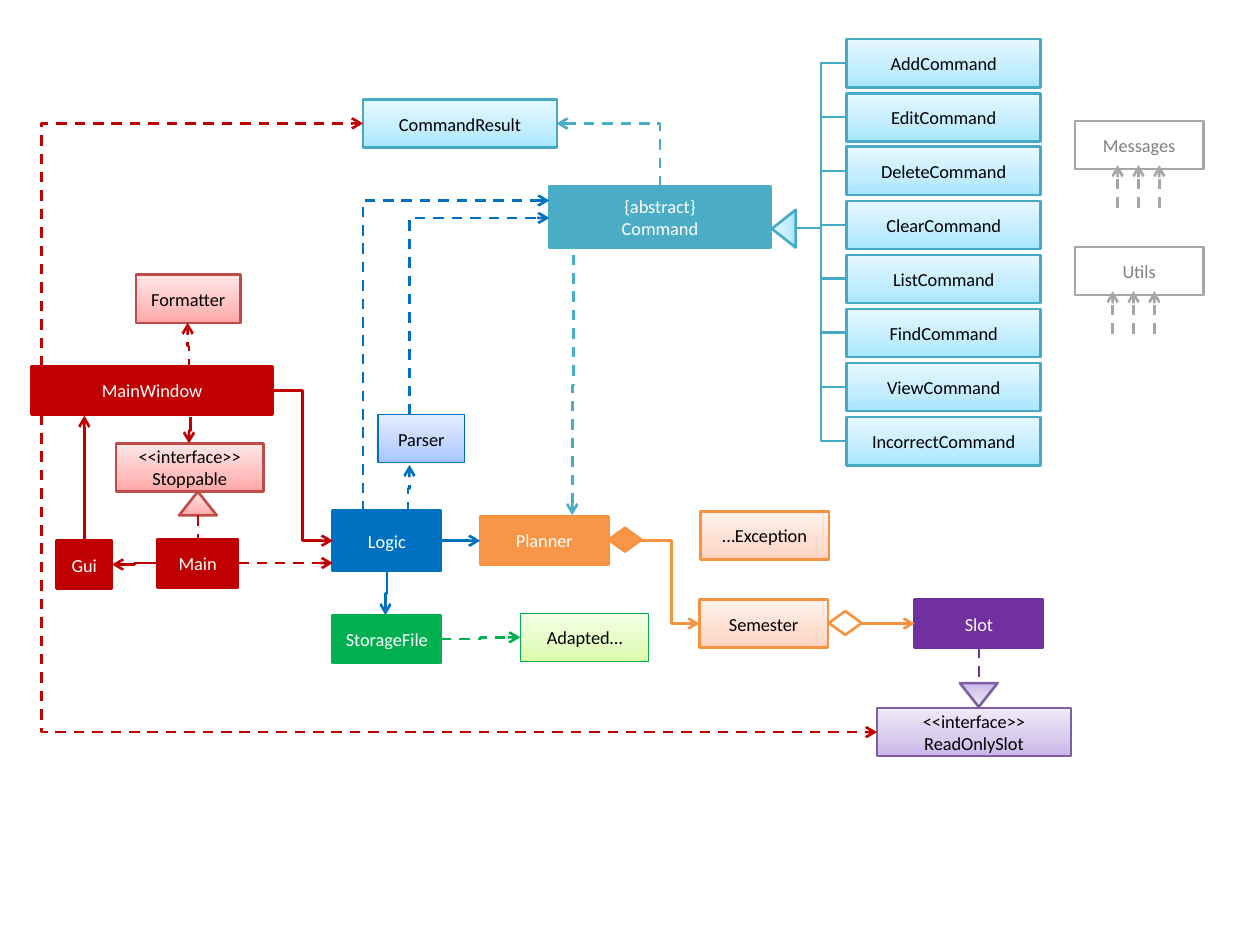
"""Build the class diagram of a study planner application."""
import copy
import dataclasses

import lxml.etree
import pptx
import pptx.dml.color
import pptx.enum.dml
import pptx.enum.shapes
import pptx.enum.text
import pptx.oxml.ns
import pptx.util

SHAPE = pptx.enum.shapes.MSO_SHAPE
CONNECTOR = pptx.enum.shapes.MSO_CONNECTOR


@dataclasses.dataclass(frozen=True)
class Look:
    fill: object
    line: str
    text: str = "FFFFFF"
    width: float = 1.5


@dataclasses.dataclass(frozen=True)
class Theme:
    font: str = "Calibri"
    size: float = 10.5
    window: Look = Look("C00000", "C00000")
    window_soft: Look = Look(("FFA6A5", "FFC0BF", "FFE7E7"), "BF4C48", "000000")
    logic: Look = Look("0070C0", "0070C0")
    parser: Look = Look(("A4C4FF", "BFD4FF", "E6EEFF"), "0070C0", "000000", 0.75)
    planner: Look = Look("F79646", "F69240")
    planner_soft: Look = Look(("FFD2BD", "FFDED0", "FFF2ED"), "F69240", "000000")
    planner_open: Look = Look(None, "F69240")
    slot: Look = Look("7030A0", "7030A0")
    slot_soft: Look = Look(("C9B5E8", "D8CBEE", "F0EAF9"), "7D60A0", "000000")
    storage: Look = Look("00B050", "00B050")
    adapted: Look = Look(("DAFDA7", "E4FCC2", "F5FFE7"), "00B050", "000000", 0.75)
    command: Look = Look("4BACC6", "4BACC6")
    command_soft: Look = Look(("A7E6FF", "C1EDFF", "E7F8FF"), "46AAC5", "000000")
    helper: Look = Look("FFFFFF", "A6A6A6", "808080")


def length(inches):
    return pptx.util.Cm(round(inches * 2.54, 2))


def rgb(value):
    return pptx.dml.color.RGBColor.from_string(value)


class Diagram:
    def __init__(self, slide, theme):
        self.slide, self.theme = slide, theme

    def paint(self, shape, look):
        shape.shadow.inherit = False
        if look.fill is None:
            shape.fill.background()
        elif isinstance(look.fill, str):
            shape.fill.solid()
            shape.fill.fore_color.rgb = rgb(look.fill)
        else:
            shape.fill.gradient()
            shape.fill.gradient_angle = 90
            stops = next(shape._element.spPr.iter(pptx.oxml.ns.qn("a:gsLst")))
            stops.append(copy.deepcopy(stops[0]))
            for stop, place, colour in zip(shape.fill.gradient_stops, (0, 0.35, 1), look.fill):
                stop.position = place
                stop.color.rgb = rgb(colour)
        shape.line.color.rgb = rgb(look.line)
        shape.line.width = pptx.util.Pt(look.width)

    def symbol(self, kind, at, look, turn=0):
        shape = self.slide.shapes.add_shape(kind, *map(length, at))
        shape.rotation = turn
        self.paint(shape, look)
        return shape

    def box(self, text, left, top, look, width=1.02, height=0.38):
        shape = self.symbol(SHAPE.RECTANGLE, (left, top, width, height), look)
        frame = shape.text_frame
        frame.text = text
        frame.word_wrap = True
        frame.vertical_anchor = pptx.enum.text.MSO_ANCHOR.MIDDLE
        frame.margin_left = frame.margin_right = frame.margin_top = frame.margin_bottom = 0
        for paragraph in frame.paragraphs:
            paragraph.alignment = pptx.enum.text.PP_ALIGN.CENTER
            for run in paragraph.runs:
                run.font.name = self.theme.font
                run.font.size = pptx.util.Pt(self.theme.size)
                run.font.color.rgb = rgb(look.text)

    def link(self, start, end, look, route="straight", bend=0.5, dash=False, arrow=True):
        """Join two points; a "down" or "corner" route leaves the start vertically."""
        (x1, y1), (x2, y2) = start, end
        upright = route in ("down", "corner")
        if upright:
            x, y, dx, dy = (x1 + x2) / 2, (y1 + y2) / 2, x2 - x1, y2 - y1
            x1, y1, x2, y2 = x - dy / 2, y + dx / 2, x + dy / 2, y - dx / 2
        kind = CONNECTOR.STRAIGHT if route == "straight" else CONNECTOR.ELBOW
        line = self.slide.shapes.add_connector(kind, *map(length, (x1, y1, x2, y2)))
        line.line.color.rgb = rgb(look.line)
        line.line.width = pptx.util.Pt(1.5)
        if dash:
            line.line.dash_style = pptx.enum.dml.MSO_LINE.DASH
        properties = line._element.spPr
        qn = pptx.oxml.ns.qn
        if upright:
            properties.find(qn("a:xfrm")).set("rot", "5400000")
        geometry = properties.find(qn("a:prstGeom"))
        if route == "corner":
            geometry.set("prst", "bentConnector2")
        elif route != "straight":
            guides = geometry.find(qn("a:avLst"))
            lxml.etree.SubElement(guides, qn("a:gd"), name="adj1", fmla=f"val {round(bend * 100000)}")
        if arrow:
            lxml.etree.SubElement(properties.find(qn("a:ln")), qn("a:tailEnd"), type="arrow")
        lxml.etree.SubElement(properties, qn("a:effectLst"))


deck = pptx.Presentation()
deck.slide_width, deck.slide_height = length(10), length(7.5)
theme = Theme()
diagram = Diagram(deck.slides.add_slide(deck.slide_layouts[6]), theme)

for label, left, top, look, width, height in (
    ("Gui", 0.45, 4.29, theme.window, 0.44, 0.38),
    ("Main", 1.25, 4.28, theme.window, 0.64, 0.38),
    ("MainWindow", 0.25, 2.91, theme.window, 1.91, 0.38),
    ("Formatter", 1.08, 2.18, theme.window_soft, 0.83, 0.38),
    ("<<interface>>\nStoppable", 0.92, 3.52, theme.window_soft, 1.17, 0.38),
    ("Logic", 2.64, 4.05, theme.logic, 0.86, 0.48),
    ("Parser", 3, 3.29, theme.parser, 0.69, 0.38),
    ("StorageFile", 2.64, 4.88, theme.storage, 0.86, 0.38),
    ("Adapted…", 4.13, 4.87, theme.adapted, 1.02, 0.38),
    ("Planner", 3.81, 4.1, theme.planner, 1.02, 0.38),
    ("…Exception", 5.56, 4.06, theme.planner_soft, 1.02, 0.38),
    ("Semester", 5.55, 4.76, theme.planner_soft, 1.02, 0.38),
    ("Slot", 7.26, 4.76, theme.slot, 1.02, 0.38),
    ("<<interface>>\nReadOnlySlot", 6.96, 5.62, theme.slot_soft, 1.54, 0.38),
    ("{abstract}\vCommand", 4.36, 1.48, theme.command, 1.76, 0.49),
    ("CommandResult", 2.88, 0.79, theme.command_soft, 1.54, 0.38),
):
    diagram.box(label, left, top, look, width, height)

diagram.symbol(SHAPE.FLOWCHART_DECISION, (4.83, 4.19, 0.26, 0.19), theme.planner)
diagram.symbol(SHAPE.FLOWCHART_DECISION, (6.58, 4.85, 0.26, 0.19), theme.planner_open)
for left, top, look, turn in (
    (7.62, 5.42, theme.slot_soft, 180),
    (6.07, 1.72, theme.command_soft, 270),
    (1.42, 3.9, theme.window_soft, 0),
):
    diagram.symbol(SHAPE.ISOSCELES_TRIANGLE, (left, top, 0.3, 0.19), look, turn)

commands = ("Add", "Edit", "Delete", "Clear", "List", "Find", "View", "Incorrect")
for index, command in enumerate(commands):
    top = 0.31 + index * 3 / 7
    diagram.box(command + "Command", 6.72, top, theme.command_soft, width=1.54)
    diagram.link((6.31, 1.81), (6.72, top + 0.19), theme.command_soft, "across", arrow=False)

for helper, top, first_user in (("Messages", 0.96, 8.87), ("Utils", 1.96, 8.83)):
    diagram.box(helper, 8.53, top, theme.helper)
    for index in range(3):
        x = first_user + index * 0.165
        diagram.link((x, top + 0.69), (x, top + 0.35), theme.helper, dash=True)

for start, end, look, route, bend, dash in (
    ((1.25, 4.47), (0.89, 4.48), theme.window, "across", 0.5, False),
    ((0.67, 4.29), (0.67, 3.3), theme.window, "straight", 0, False),
    ((1.51, 3.31), (1.5, 3.52), theme.window, "down", 0.5, False),
    ((2.16, 3.1), (2.64, 4.29), theme.window, "across", 0.5, False),
    ((1.89, 4.47), (2.64, 4.47), theme.window, "straight", 0, True),
    ((1.5, 2.93), (1.49, 2.56), theme.window, "down", 0.5, True),
    ((0.33, 2.91), (2.88, 0.98), theme.window, "across", 0, True),
    ((0.33, 3.29), (6.96, 5.81), theme.window, "across", 0, True),
    ((3.24, 4.07), (3.25, 3.69), theme.logic, "down", 0.5, True),
    ((3.07, 4.54), (3.06, 4.88), theme.logic, "down", 0.5, False),
    ((3.5, 4.29), (3.81, 4.29), theme.logic, "straight", 0, False),
    ((3.25, 3.29), (4.36, 1.73), theme.logic, "corner", 0, True),
    ((2.88, 4.06), (4.36, 1.59), theme.logic, "down", 1, True),
    ((4.55, 2.02), (4.54, 4.09), theme.command, "down", 0.5, True),
    ((5.24, 1.48), (4.42, 0.98), theme.command, "corner", 0, True),
    ((3.5, 5.07), (4.13, 5.06), theme.storage, "across", 0.5, True),
    ((5.08, 4.29), (5.55, 4.95), theme.planner, "across", 0.53, False),
    ((6.83, 4.95), (7.26, 4.95), theme.planner, "straight", 0, False),
):
    diagram.link(start, end, look, route, bend, dash)

diagram.link((7.77, 5.14), (7.77, 5.42), theme.slot, dash=True, arrow=False)
diagram.link((1.57, 4.09), (1.57, 4.28), theme.window, dash=True, arrow=False)

deck.save("out.pptx")
